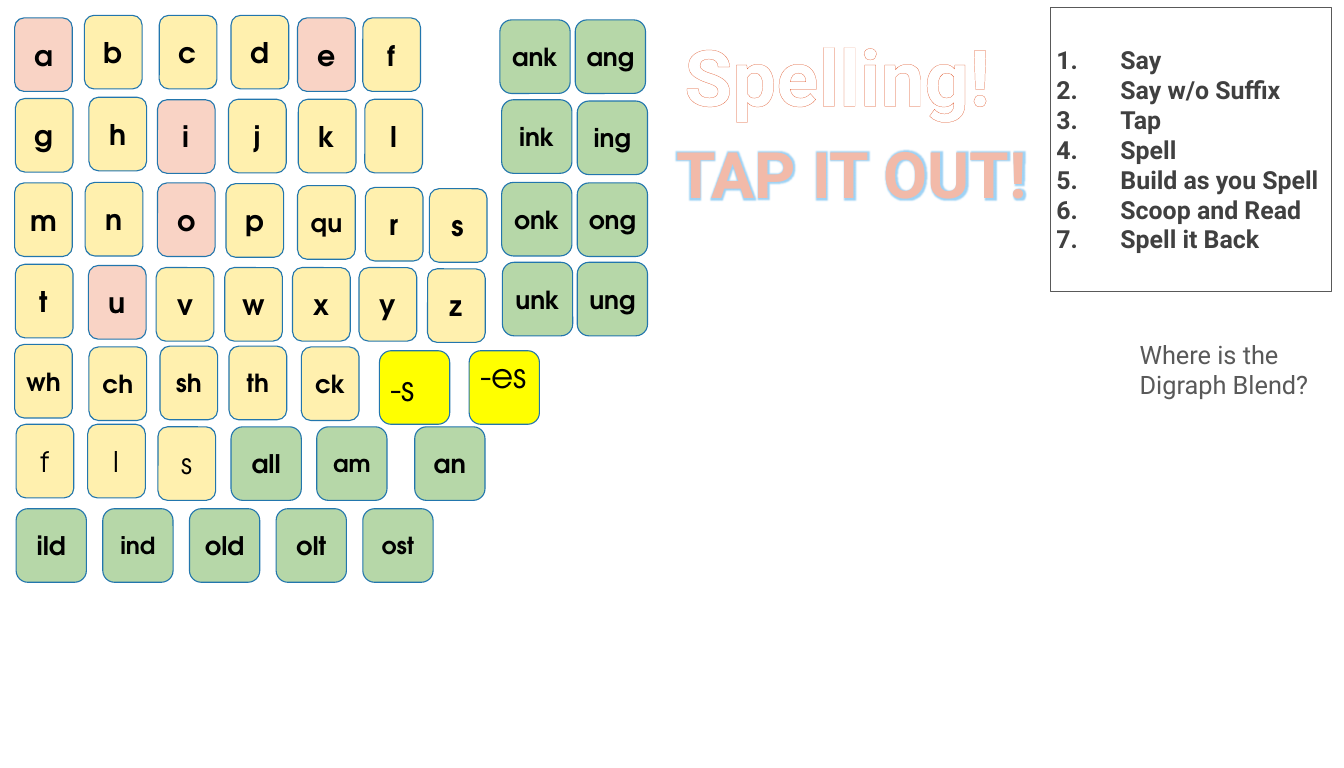
"""Build a spelling slide with letter tiles, a step list and a heading."""
from dataclasses import dataclass

from lxml import etree
from pptx import Presentation
from pptx.dml.color import RGBColor
from pptx.enum import shapes, text
from pptx.oxml import ns
from pptx.util import Cm, Pt


@dataclass(frozen=True)
class Theme:
    vowel: str = "F9D3C5"
    consonant: str = "FFF0AE"
    chunk: str = "B6D7A8"
    suffix: str = "FFFF00"
    tile_edge: str = "2276AD"
    black: str = "000000"
    white: str = "FFFFFF"
    grey: str = "595959"
    dark_grey: str = "404040"
    salmon: str = "F2BAA9"
    outline: str = "DF5327"
    glow: str = "9FD3F5"
    tile_font: str = "TeX Gyre Adventor"
    text_font: str = "Roboto"
    letter_size: float = 32
    pair_size: float = 28
    large_chunk_size: float = 28.8
    small_chunk_size: float = 26.4
    suffix_size: float = 38.4
    question_size: float = 28.5
    step_size: float = 28
    tap_size: float = 72
    title_size: float = 88


def add_run(paragraph, words, font, size, color, bold=True):
    run = paragraph.add_run()
    run.text = words
    run.font.name = font
    run.font.size = Pt(size)
    run.font.bold = bold
    run.font.color.rgb = RGBColor.from_string(color)
    return run


def add_panel(kind, left, top, width, height, fill, edge, weight):
    panel = slide.shapes.add_shape(kind, Cm(left), Cm(top), Cm(width), Cm(height))
    panel.shadow.inherit = False
    panel.fill.solid()
    panel.fill.fore_color.rgb = RGBColor.from_string(fill)
    panel.line.color.rgb = RGBColor.from_string(edge)
    panel.line.width = Pt(weight)
    panel.text_frame.word_wrap = True
    panel.text_frame.vertical_anchor = text.MSO_ANCHOR.MIDDLE
    return panel


theme = Theme()
deck = Presentation()
deck.slide_width, deck.slide_height = Cm(53.34), Cm(30.48)
slide = deck.slides.add_slide(deck.slide_layouts[6])

narrow, wide, tile_height = 2.29, 2.79, 2.92
last_row = [(chunk, 0.64 + 3.44 * i, 20.19)
            for i, chunk in enumerate(["ild", "ind", "old", "olt", "ost"])]
tile_groups = [
    (theme.vowel, narrow, theme.letter_size, True, [
        ("a", 0.58, 0.71), ("e", 11.81, 0.71), ("i", 6.25, 3.96),
        ("o", 6.25, 7.26), ("u", 3.51, 10.54)]),
    (theme.consonant, narrow, theme.letter_size, True, [
        ("b", 3.35, 0.61), ("c", 6.32, 0.61), ("d", 9.17, 0.61), ("f", 14.4, 0.71),
        ("g", 0.61, 3.91), ("h", 3.53, 3.86), ("j", 9.07, 3.94), ("k", 11.84, 3.94),
        ("l", 14.48, 3.94), ("m", 0.58, 7.26), ("n", 3.38, 7.24), ("p", 8.97, 7.29),
        ("r", 14.5, 7.44), ("s", 17.04, 7.49), ("t", 0.61, 10.49), ("v", 6.2, 10.62),
        ("w", 8.92, 10.62), ("x", 11.61, 10.62), ("y", 14.25, 10.62),
        ("z", 16.97, 10.67)]),
    (theme.consonant, narrow, theme.pair_size, True, [
        ("qu", 11.81, 7.37), ("wh", 0.58, 13.67), ("ch", 3.53, 13.77),
        ("sh", 6.35, 13.74), ("th", 9.09, 13.74), ("ck", 11.96, 13.77)]),
    (theme.consonant, narrow, theme.letter_size, False, [
        ("f", 0.64, 16.84), ("l", 3.48, 16.84), ("s", 6.27, 16.94)]),
    (theme.chunk, wide, theme.pair_size, True, [
        ("ank", 19.84, 0.79), ("ang", 22.83, 0.79), ("ink", 19.91, 3.96),
        ("ing", 22.91, 4.01), ("onk", 19.91, 7.24), ("ong", 22.91, 7.26),
        ("unk", 19.94, 10.41), ("ung", 22.91, 10.41)]),
    (theme.chunk, wide, theme.large_chunk_size, True, [
        ("all", 9.17, 16.94), ("an", 16.46, 16.94)] + last_row[::2][:2] + last_row[3:4]),
    (theme.chunk, wide, theme.small_chunk_size, True, [
        ("am", 12.57, 16.94), last_row[1], last_row[4]]),
    (theme.suffix, wide, theme.suffix_size, False, [
        ("-s", 15.06, 13.92), ("-es", 18.62, 13.92)]),
]
for fill, width, size, bold, tiles in tile_groups:
    for sound, left, top in tiles:
        tile = add_panel(shapes.MSO_SHAPE.ROUNDED_RECTANGLE, left, top, width,
                         tile_height, fill, theme.tile_edge, 1.25)
        frame = tile.text_frame
        frame.margin_left = frame.margin_right = Cm(0.3)
        frame.margin_top = frame.margin_bottom = Cm(0.15)
        if sound == "-es":
            frame.vertical_anchor = text.MSO_ANCHOR.TOP
            frame.margin_top = Cm(0)
        paragraph = frame.paragraphs[0]
        is_suffix = fill == theme.suffix
        paragraph.alignment = text.PP_ALIGN.LEFT if is_suffix else text.PP_ALIGN.CENTER
        add_run(paragraph, sound, theme.tile_font, size, theme.black, bold)

steps = add_panel(shapes.MSO_SHAPE.RECTANGLE, 41.68, 0.28, 11.15, 11.3,
                  theme.white, theme.grey, 1)
step_names = ["Say", "Say w/o Suffix", "Tap", "Spell", "Build as you Spell",
              "Scoop and Read", "Spell it Back"]
for i, step in enumerate(step_names):
    paragraph = steps.text_frame.add_paragraph() if i else steps.text_frame.paragraphs[0]
    paragraph.alignment = text.PP_ALIGN.LEFT
    numbering = paragraph._p.get_or_add_pPr()
    numbering.set("marL", str(Cm(2.54)))
    numbering.set("indent", str(-Cm(2.54)))
    etree.SubElement(numbering, ns.qn("a:buAutoNum"), type="arabicPeriod")
    add_run(paragraph, step, theme.text_font, theme.step_size, theme.dark_grey)

captions = [
    ("TAP IT OUT!", (26.52, 5.21, 14.55, 3.33), theme.tap_size, theme.salmon, 1.75, True),
    ("Where is the Digraph Blend?", (44.98, 13.34, 9.25, 2.69), theme.question_size,
     theme.grey, 0, False),
    ("Spelling!", (26.01, 0.99, 14.45, 4.01), theme.title_size, theme.white, 0.52, False),
]
for words, place, size, color, outline_width, glows in captions:
    caption = slide.shapes.add_textbox(*map(Cm, place))
    caption.text_frame.word_wrap = not glows
    caption.text_frame.auto_size = text.MSO_AUTO_SIZE.SHAPE_TO_FIT_TEXT
    paragraph = caption.text_frame.paragraphs[0]
    run = add_run(paragraph, words, theme.text_font, size, color, outline_width > 0)
    look = run.font._element
    if outline_width:
        paragraph.alignment = text.PP_ALIGN.CENTER
        outline = etree.Element(ns.qn("a:ln"), w=str(Pt(outline_width)))
        ink = etree.SubElement(outline, ns.qn("a:solidFill"))
        etree.SubElement(ink, ns.qn("a:srgbClr"), val=theme.outline)
        look.insert(0, outline)
    if glows:
        effects = etree.Element(ns.qn("a:effectLst"))
        glow = etree.SubElement(effects, ns.qn("a:glow"), rad=str(Pt(5)))
        etree.SubElement(glow, ns.qn("a:srgbClr"), val=theme.glow)
        look.find(ns.qn("a:solidFill")).addnext(effects)

deck.save("out.pptx")
